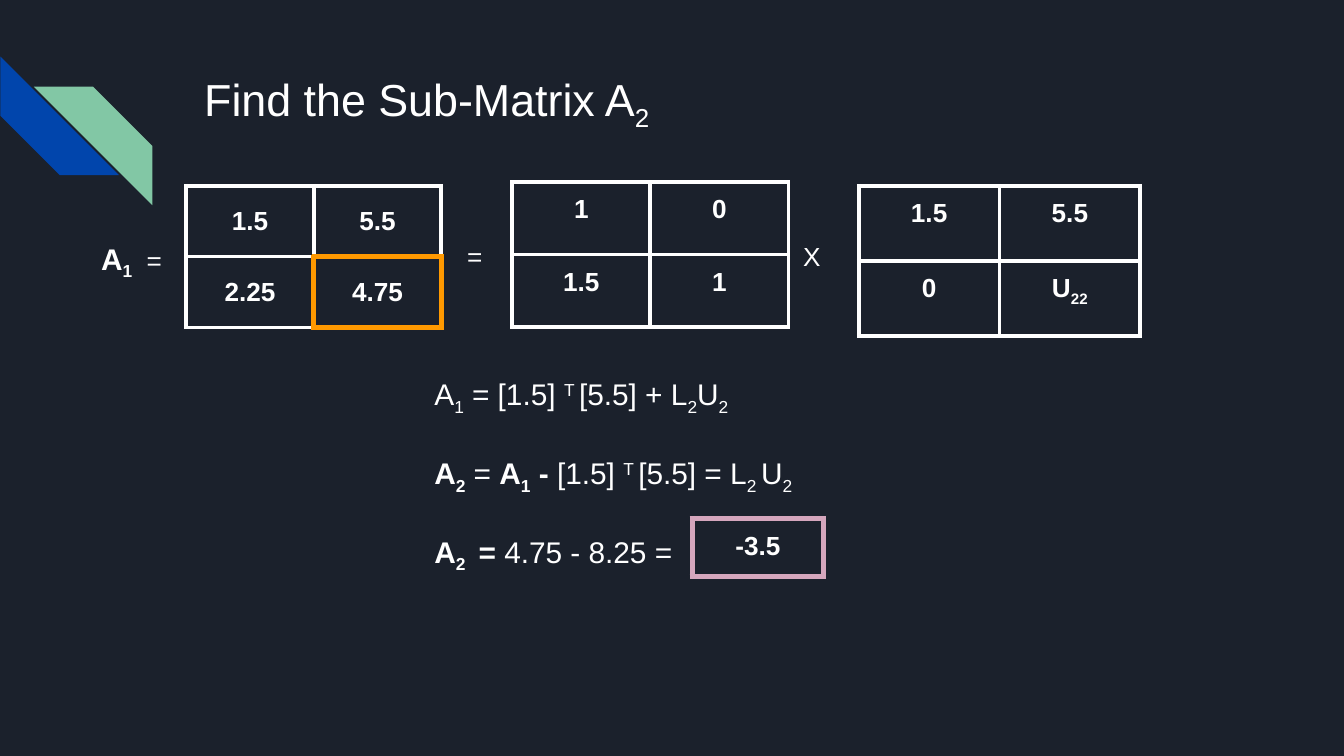
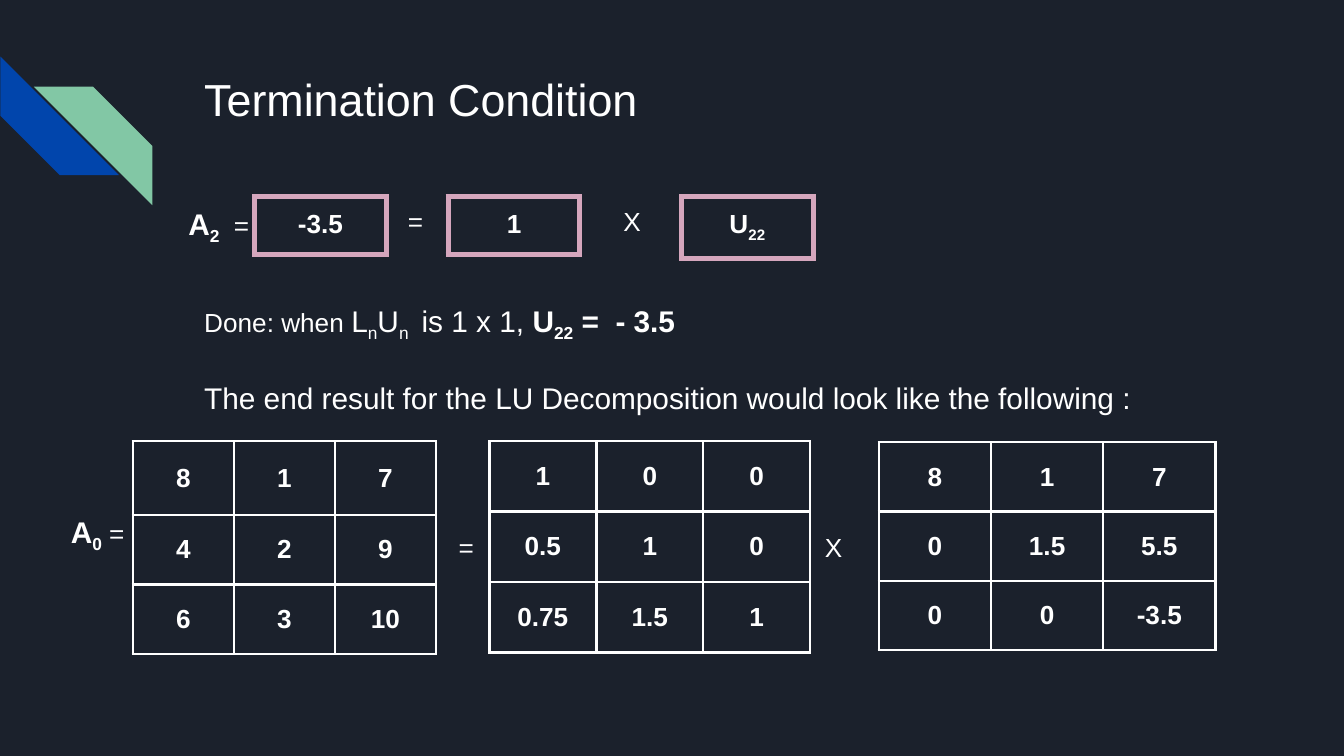
from pptx import Presentation
from pptx.dml.color import RGBColor
from pptx.enum.shapes import MSO_SHAPE
from pptx.enum.text import MSO_ANCHOR, PP_ALIGN
from pptx.oxml.ns import qn
from pptx.util import Cm, Pt
from lxml import etree

STRIPE = MSO_SHAPE.DIAGONAL_STRIPE
TOP, MIDDLE = MSO_ANCHOR.TOP, MSO_ANCHOR.MIDDLE
CENTER = PP_ALIGN.CENTER

NAVY = RGBColor(0x1B, 0x21, 0x2C)
BLUE = RGBColor(0x01, 0x45, 0xAC)
GREEN = RGBColor(0x82, 0xC7, 0xA5)
WHITE = RGBColor(0xFF, 0xFF, 0xFF)
ORANGE = RGBColor(0xFF, 0x99, 0x00)
PINK = RGBColor(0xD5, 0xA6, 0xBD)

FONT = "Arial"
INSET = Cm(0.25)
TABLE_FRAME = Cm(8.33)
BASELINES = {"_": "-25000", "^": "30000"}


# Text: a run is a plain string or (text, marks[, size]);
# the marks are b = bold, _ = subscript, ^ = superscript
def fill_paragraph(p, runs, size, bold=False):
    p.font.name, p.font.size, p.font.bold = FONT, Pt(size), bold
    p.font.color.rgb = WHITE
    for run in runs:
        text, marks, *own_size = (run, "") if isinstance(run, str) else run
        r = p.add_run()
        r.text = text
        if "b" in marks:
            r.font.bold = True
        if own_size:
            r.font.size = Pt(own_size[0])
        for mark, offset in BASELINES.items():
            if mark in marks:
                r.font._element.set("baseline", offset)


def add_text(slide, left, top, width, height, paragraphs, size, gap=0, wrap=True):
    box = slide.shapes.add_textbox(Cm(left), Cm(top), Cm(width), Cm(height))
    tf = box.text_frame
    tf.word_wrap = wrap
    tf.margin_left = tf.margin_right = tf.margin_top = tf.margin_bottom = INSET
    for i, runs in enumerate(paragraphs):
        p = tf.add_paragraph() if i else tf.paragraphs[0]
        fill_paragraph(p, runs, size)
        if i:
            p.space_before = Pt(gap)


def add_sign(slide, left, top, sign):
    add_text(slide, left, top, 1.2, 2.1, [[sign]], 14, wrap=False)


def add_matrix_name(slide, left, top, index, equals="  ="):
    runs = [("A", "b", 16), (index, "b_", 16), equals]
    add_text(slide, left, top, 1.75, 2.1, [runs], 14, wrap=False)


# Tables
def set_border(cell, side, color, width):
    ln = etree.SubElement(cell._tc.get_or_add_tcPr(), qn(f"a:ln{side}"),
                          w=str(Pt(width)))
    fill = etree.SubElement(ln, qn("a:solidFill"))
    etree.SubElement(fill, qn("a:srgbClr"), val=str(color))


def add_matrix(slide, left, top, col, heights, values, line=(WHITE, 2.25),
               anchor=TOP, marked=None):
    """Draw a matrix; the marked (row, column) cell gets an orange frame."""
    frame = slide.shapes.add_table(len(values), len(values[0]), Cm(left), Cm(top),
                                   TABLE_FRAME, TABLE_FRAME)
    table = frame.table
    table.first_row = table.horz_banding = False
    for column in table.columns:
        column.width = Cm(col)
    for i, row in enumerate(values):
        table.rows[i].height = Cm(heights[i])
        for j, value in enumerate(row):
            cell = table.cell(i, j)
            cell.vertical_anchor = anchor
            cell.margin_left = cell.margin_right = INSET
            cell.margin_top = cell.margin_bottom = INSET
            p = cell.text_frame.paragraphs[0]
            p.alignment = CENTER
            fill_paragraph(p, [value] if isinstance(value, str) else value, 14, True)
            neighbours = {"L": (i, j - 1), "R": (i, j + 1),
                          "T": (i - 1, j), "B": (i + 1, j)}
            for side, neighbour in neighbours.items():
                framed = marked is not None and marked in ((i, j), neighbour)
                set_border(cell, side, *((ORANGE, 3) if framed else line))
            cell.fill.background()
    # Every table keeps the same nominal frame
    frame.width = frame.height = TABLE_FRAME


def add_result(slide, left, top, value):
    add_matrix(slide, left, top, 2.49, [1.06], [[value]], (PINK, 3))


# Shared slide frame
def add_stripe(slide, left, top, color):
    sp = slide.shapes.add_shape(STRIPE, Cm(left), Cm(top), Cm(2.24), Cm(2.24))
    sp.shadow.inherit = False
    sp.fill.solid()
    sp.fill.fore_color.rgb = color
    sp.line.fill.background()
    return sp


def new_slide(prs, title):
    slide = prs.slides.add_slide(prs.slide_layouts[6])
    add_stripe(slide, 0.01, 1.07, BLUE).rotation = 270
    green = add_stripe(slide, 0.64, 1.64, GREEN)
    green._element.spPr.get_or_add_xfrm().set("flipH", "1")
    add_text(slide, 3.61, 1.1, 19.56, 2.54, [title], 24)
    return slide


U22 = ["U", ("22", "_")]


def build_submatrix(prs):
    slide = new_slide(prs, ["Find the Sub-Matrix A", ("2", "_")])

    # A1 = L x U
    add_sign(slide, 8.58, 4.3, "=")
    add_sign(slide, 14.93, 4.3, "X")
    add_matrix(slide, 9.68, 3.44, 2.61, [1.37] * 2, [["1", "0"], ["1.5", "1"]])
    add_matrix(slide, 16.23, 3.51, 2.66, [1.42] * 2, [["1.5", "5.5"], ["0", U22]])
    add_matrix_name(slide, 1.66, 4.3, "1")
    add_matrix(slide, 3.52, 3.51, 2.41, [1.34] * 2,
               [["1.5", "5.5"], ["2.25", "4.75"]], anchor=MIDDLE, marked=(1, 1))

    # Working
    a2 = [("A", "b"), ("2", "b_")]
    add_text(slide, 7.96, 6.86, 16, 5.5, [
        ["A", ("1", "_"), " = [1.5] ", ("T ", "^"), "[5.5] + L", ("2", "_"),
         "U", ("2", "_")],
        a2 + [" = ", ("A", "b"), ("1", "b_"), (" - ", "b"), "[1.5] ", ("T ", "^"),
              "[5.5] = L", ("2 ", "_"), "U", ("2", "_")],
        a2 + [(" ", "b_"), (" = ", "b"), "4.75 - 8.25 ="],
    ], 16, gap=20.4)
    add_result(slide, 13.08, 9.8, "-3.5")


def build_termination(prs):
    slide = new_slide(prs, ["Termination Condition"])

    # A2 = 1 x U22
    add_matrix_name(slide, 3.31, 3.63, "2")
    for left, value in ((4.81, "-3.5"), (8.47, "1"), (12.88, U22)):
        add_result(slide, left, 3.72, value)
    add_sign(slide, 7.46, 3.63, "=")
    add_sign(slide, 11.53, 3.63, "X")

    # Conclusion
    add_text(slide, 3.61, 5.47, 20.37, 2.39, [
        [("Done: when ", "", 14), "L", ("n", "_"), "U", ("n ", "_"),
         " is 1 x 1, ", ("U", "b"), ("22", "b_"), (" =  - 3.5", "b")],
        ["The end result for the LU Decomposition would look like the following :"],
    ], 16, gap=19.5)

    # A0 = L x U
    thin = (WHITE, 1.5)
    add_matrix(slide, 2.51, 8.34, 1.91, [1.4, 1.31, 1.31],
               [["8", "1", "7"], ["4", "2", "9"], ["6", "3", "10"]], thin, MIDDLE)
    add_matrix(slide, 9.25, 8.34, 2.02, [1.33] * 3,
               [["1", "0", "0"], ["0.5", "1", "0"], ["0.75", "1.5", "1"]],
               thin, MIDDLE)
    add_sign(slide, 8.42, 9.79, "=")
    add_sign(slide, 15.34, 9.79, "X")
    add_matrix(slide, 16.61, 8.36, 2.12, [1.31] * 3,
               [["8", "1", "7"], ["0", "1.5", "5.5"], ["0", "0", "-3.5"]],
               thin, MIDDLE)
    add_matrix_name(slide, 1.09, 9.46, "0", " =")


def main():
    prs = Presentation()
    prs.slide_width, prs.slide_height = Cm(25.4), Cm(14.29)
    background = prs.slide_master.background.fill
    background.solid()
    background.fore_color.rgb = NAVY
    build_submatrix(prs)
    build_termination(prs)
    prs.save("out.pptx")


main()
